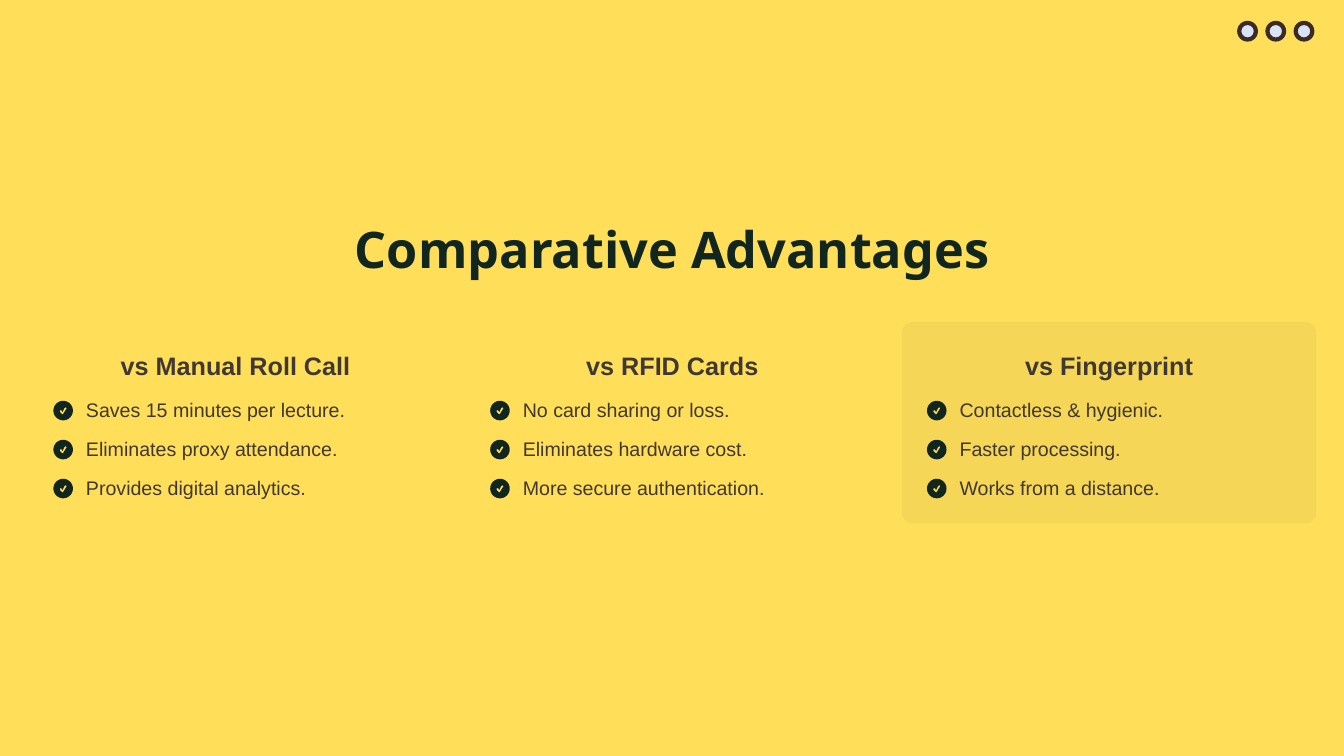
from dataclasses import dataclass
from math import cos, sin, tau

from lxml import etree
from pptx import Presentation
from pptx.dml.color import RGBColor
from pptx.enum.shapes import MSO_SHAPE
from pptx.enum.text import MSO_ANCHOR, MSO_AUTO_SIZE, PP_ALIGN
from pptx.oxml.ns import qn
from pptx.util import Inches, Pt


@dataclass(frozen=True)
class Theme:
    background: str = "FFDE59"
    dark: str = "122620"
    body: str = "403833"
    dot: str = "DAE3F5"
    ring: str = "3C2B22"
    title_font: str = "Noto Sans"
    body_font: str = "Arial"
    title_size: float = 54
    title_spacing: float = 58.3
    heading_size: float = 27
    heading_spacing: float = 42.1
    item_size: float = 21
    item_spacing: float = 30.2
    highlight_opacity: int = 4


THEME = Theme()

COLUMNS = [
    ("vs Manual Roll Call", ["Saves 15 minutes per lecture.",
                             "Eliminates proxy attendance.",
                             "Provides digital analytics."]),
    ("vs RFID Cards", ["No card sharing or loss.",
                       "Eliminates hardware cost.",
                       "More secure authentication."]),
    ("vs Fingerprint", ["Contactless & hygienic.",
                        "Faster processing.",
                        "Works from a distance."]),
]
HIGHLIGHTED_COLUMN = 2

# Tick outline, in inches from the centre of its disc
TICK = [(0.05, -0.03), (0, 0.05), (-0.01, 0.06), (-0.02, 0.05),
        (-0.05, 0.02), (-0.05, 0), (-0.03, -0.01), (-0.01, 0.02),
        (0.02, -0.04), (0.04, -0.05), (0.05, -0.04)]


def place(shape, left, top, width, height):
    box = {"left": left, "top": top, "width": width, "height": height}
    for name, value in box.items():
        setattr(shape, name, Inches(value))


def paint(shape, color):
    shape.shadow.inherit = False
    shape.fill.solid()
    shape.fill.fore_color.rgb = RGBColor.from_string(color)
    shape.line.fill.background()


def write(shape, text, align, spacing, color, **font_format):
    frame = shape.text_frame
    frame_format = {"margin_left": 0, "margin_right": 0, "margin_top": 0,
                    "margin_bottom": 0, "word_wrap": True,
                    "auto_size": MSO_AUTO_SIZE.NONE,
                    "vertical_anchor": MSO_ANCHOR.MIDDLE}
    for name, value in frame_format.items():
        setattr(frame, name, value)
    paragraph = frame.paragraphs[0]
    paragraph.text = text
    paragraph.alignment = align
    paragraph.line_spacing = Pt(spacing)
    for name, value in font_format.items():
        setattr(paragraph.font, name, value)
    paragraph.font.color.rgb = RGBColor.from_string(color)


def add_text(slide, left, top, width, height, *content, **font_format):
    shape = slide.shapes.add_textbox(0, 0, 0, 0)
    place(shape, left, top, width, height)
    write(shape, *content, **font_format)


def add_preset(slide, kind, left, top, width, height, color):
    shape = slide.shapes.add_shape(kind, 0, 0, 0, 0)
    place(shape, left, top, width, height)
    paint(shape, color)
    return shape


def add_title(slide, left, top, width, height):
    title = slide.shapes.title
    place(title, left, top, width, height)
    write(title, "Comparative Advantages", PP_ALIGN.CENTER,
          THEME.title_spacing, THEME.dark, name=THEME.title_font,
          size=Pt(THEME.title_size), bold=True)


def add_tick(slide, center_x, center_y, radius=0.145, steps=48):
    """Disc with a tick cut out of it."""
    disc = [(radius * cos(tau * step / steps), radius * sin(tau * step / steps))
            for step in range(steps)]
    outlines = [[(Inches(center_x + x), Inches(center_y + y)) for x, y in outline]
                for outline in (disc, TICK)]
    builder = slide.shapes.build_freeform(*outlines[0][0])
    builder.add_line_segments(outlines[0][1:])
    builder.move_to(*outlines[1][0])
    builder.add_line_segments(outlines[1][1:])
    paint(builder.convert_to_shape(), THEME.dark)


def add_highlight(slide, left, top, width, height):
    card = add_preset(slide, MSO_SHAPE.ROUNDED_RECTANGLE,
                      left, top, width, height, THEME.dark)
    card.adjustments[0] = 0.055
    color = card.fill._xPr.find(qn("a:solidFill"))[0]
    etree.SubElement(color, qn("a:alpha"), val=str(THEME.highlight_opacity * 1000))


def add_column(slide, left, top, width, height, heading, items, highlighted):
    if highlighted:
        add_highlight(slide, left, top, width, height)
    add_text(slide, left + 0.15, top + 0.24, width - 0.3, 0.68,
             heading, PP_ALIGN.CENTER, THEME.heading_spacing, THEME.body,
             name=THEME.body_font, size=Pt(THEME.heading_size), bold=True)
    for index, item in enumerate(items):
        item_top = top + 1.04 + index * 0.58
        add_tick(slide, left + 0.52, item_top + 0.28)
        add_text(slide, left + 0.86, item_top, width - 1.1, 0.46,
                 item, PP_ALIGN.LEFT, THEME.item_spacing, THEME.body,
                 name=THEME.body_font, size=Pt(THEME.item_size))


def add_dots(slide, left, top, size, pitch, count=3):
    rim = 0.03
    for index in range(count):
        dot_left = left + index * pitch
        add_preset(slide, MSO_SHAPE.OVAL, dot_left + rim, top + rim,
                   size - 2 * rim, size - 2 * rim, THEME.dot)
        ring = add_preset(slide, MSO_SHAPE.DONUT, dot_left, top, size, size,
                          THEME.ring)
        ring.adjustments[0] = 0.2


def main():
    presentation = Presentation()
    presentation.slide_width = Inches(20)
    presentation.slide_height = Inches(11.25)
    slide = presentation.slides.add_slide(presentation.slide_layouts[5])
    slide.background.fill.solid()
    slide.background.fill.fore_color.rgb = RGBColor.from_string(THEME.background)

    add_title(slide, 0.04, 3.18, 19.92, 1.12)
    for index, (heading, items) in enumerate(COLUMNS):
        add_column(slide, 0.42 + index * 6.5, 4.79, 6.17, 3,
                   heading, items, index == HIGHLIGHTED_COLUMN)
    add_dots(slide, 18.41, 0.31, 0.31, 0.42)
    presentation.save("out.pptx")


if __name__ == "__main__":
    main()
